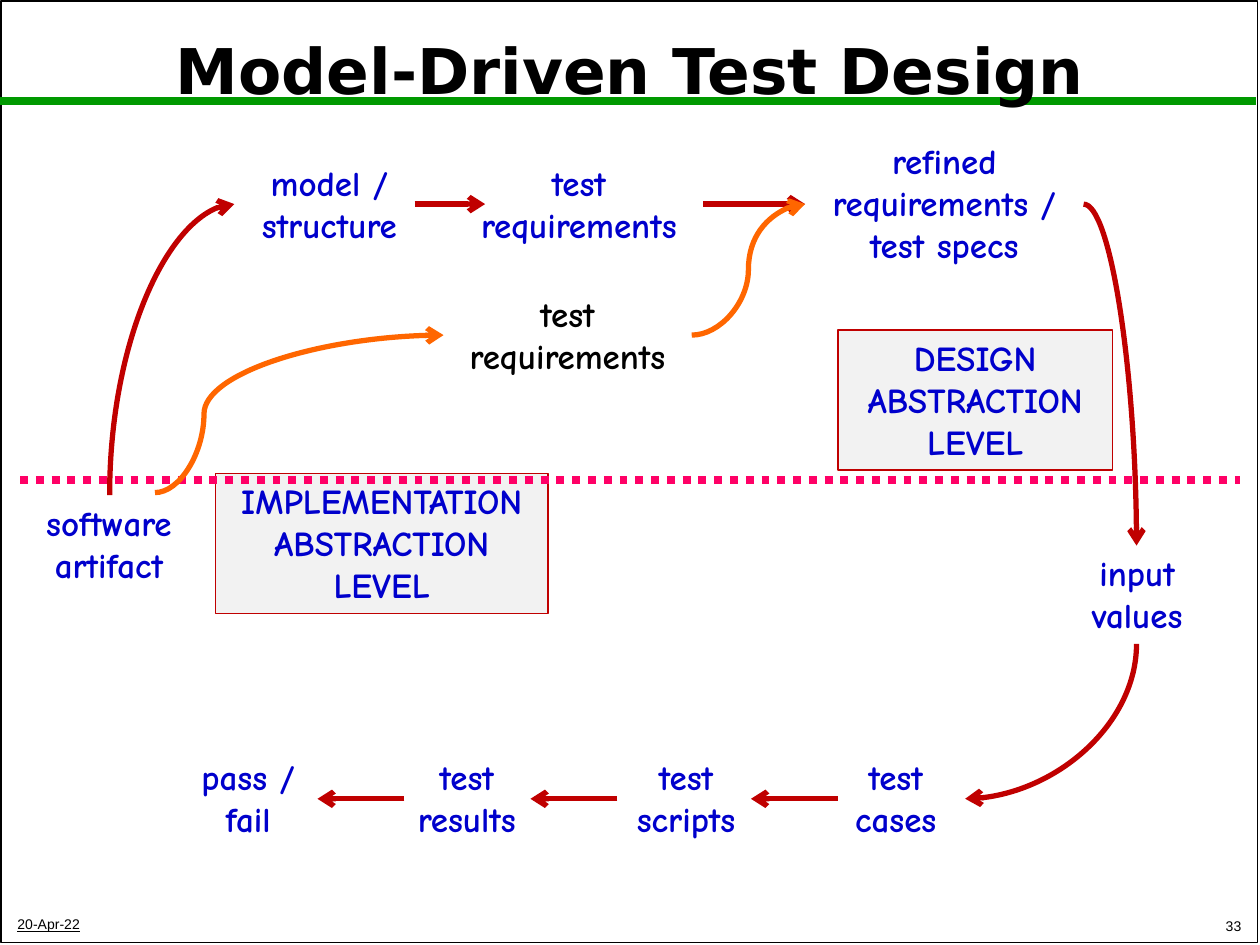
from lxml.etree import SubElement
from pptx import Presentation
from pptx.dml.color import RGBColor
from pptx.enum.dml import MSO_LINE
from pptx.enum.shapes import MSO_CONNECTOR, MSO_SHAPE
from pptx.enum.text import MSO_ANCHOR, PP_ALIGN
from pptx.oxml.ns import qn
from pptx.util import Inches, Pt

BLACK, BLUE, RED, ORANGE = "000000", "0000CC", "C00000", "FF6600"
GREEN, PINK, GREY = "009900", "FF0066", "F2F2F2"
TOP_ROW, MIDDLE_ROW, BOTTOM_ROW = 1.62, 2.66, 6.34


def color(value):
    return RGBColor.from_string(value)


class Diagram:
    def __init__(self, slide):
        self.shapes = slide.shapes

    def fill_text(self, shape, lines, size=20, font="Comic Neue", ink=BLUE, bold=True,
                  align=PP_ALIGN.CENTER, anchor=MSO_ANCHOR.TOP, wrap=True):
        frame = shape.text_frame
        frame.word_wrap = wrap
        frame.vertical_anchor = anchor
        frame.text = lines
        for paragraph in frame.paragraphs:
            paragraph.alignment = align
            paragraph.font.size = Pt(size)
            paragraph.font.name = font
            paragraph.font.bold = bold
            paragraph.font.color.rgb = color(ink)
        return frame.paragraphs[0]

    def text(self, lines, left, top, width, height=0.77, **style):
        box = self.shapes.add_textbox(Inches(left), Inches(top), Inches(width), Inches(height))
        return self.fill_text(box, lines, **style)

    def rectangle(self, left, top, width, height, line, weight, fill=None):
        box = self.shapes.add_shape(MSO_SHAPE.RECTANGLE, Inches(left), Inches(top),
                                    Inches(width), Inches(height))
        box.shadow.inherit = False
        box.line.color.rgb = color(line)
        box.line.width = Pt(weight)
        if fill:
            box.fill.solid()
            box.fill.fore_color.rgb = color(fill)
        else:
            box.fill.background()
        return box

    def level(self, lines, left, top, width):
        box = self.rectangle(left, top, width, 1.11, RED, 0.75, GREY)
        self.fill_text(box, lines, wrap=False)

    def line(self, start, end, ink=RED, weight=3, dash=None, arrow=False,
             kind=MSO_CONNECTOR.STRAIGHT):
        connector = self.shapes.add_connector(
            kind, *(Inches(value) for value in (*start, *end)))
        connector.line.color.rgb = color(ink)
        connector.line.width = Pt(weight)
        if dash:
            connector.line.dash_style = dash
        if arrow:
            SubElement(connector.get_or_add_ln(), qn("a:tailEnd"), type="arrow")
        SubElement(connector.element.spPr, qn("a:effectLst"))
        return connector

    def s_curve(self, start, end, bend=0.5):
        """Curve that leaves and arrives horizontally, turning at the given share of its width."""
        curve = self.line(start, end, ORANGE, arrow=True, kind=MSO_CONNECTOR.CURVE)
        curve_guides = curve.element.spPr.find(qn("a:prstGeom")).get_or_add_avLst()
        SubElement(curve_guides, qn("a:gd"), name="adj1", fmla=f"val {round(bend * 100000)}")

    def quarter_curve(self, start, end, vertical_first=False):
        """Curve with one bend; a vertical start is a horizontal one turned by 90 degrees."""
        if vertical_first:
            middle_x, middle_y = (start[0] + end[0]) / 2, (start[1] + end[1]) / 2
            half_x, half_y = (end[0] - start[0]) / 2, (end[1] - start[1]) / 2
            start = middle_x - half_y, middle_y + half_x
            end = middle_x + half_y, middle_y - half_x
        curve = self.line(start, end, arrow=True, kind=MSO_CONNECTOR.CURVE)
        properties = curve.element.spPr
        properties.find(qn("a:prstGeom")).set("prst", "curvedConnector2")
        if vertical_first:
            properties.find(qn("a:xfrm")).set("rot", "5400000")


def main():
    deck = Presentation()
    deck.slide_width, deck.slide_height = Inches(10), Inches(7.5)
    page = Diagram(deck.slides.add_slide(deck.slide_layouts[6]))

    page.rectangle(0.01, 0.01, 9.97, 7.47, BLACK, 1)
    page.line((0, 0.8), (9.97, 0.8), GREEN, 4.5)
    title = page.text("Model-Driven Test Design", 0.05, 0.11, 9.9, 0.95, size=36,
                      font="DejaVu Sans", ink=BLACK, anchor=MSO_ANCHOR.MIDDLE)
    title.line_spacing = 0.9
    footer = dict(size=8, font="Arial", ink=BLACK, bold=False, anchor=MSO_ANCHOR.BOTTOM)
    date = page.text("20-Apr-22", 0.04, 7.18, 4.2, 0.27, align=PP_ALIGN.LEFT, **footer)
    date.font.underline = True
    page.text("33", 7.87, 7.17, 2.08, 0.29, align=PP_ALIGN.RIGHT, **footer)

    page.text("software artifact", 0.11, 3.93, 1.51)
    page.text("model / structure", 1.86, 1.23, 1.51)
    page.text("test requirements", 3.61, 1.23, 1.97)
    page.text("refined requirements / test specs", 6.39, 1.06, 2.21, 1.11)
    page.text("input values", 8.27, 4.33, 1.51)
    for label, left, width in (("test cases", 6.56, 1.1), ("test scripts", 4.82, 1.25),
                               ("test results", 3.08, 1.25), ("pass / fail", 1.35, 1.24)):
        page.text(label, left, 5.95, width)

    page.quarter_curve((0.87, 3.93), (1.86, TOP_ROW), vertical_first=True)
    page.quarter_curve((9.02, 5.11), (7.66, BOTTOM_ROW), vertical_first=True)
    for start, end, row in ((3.29, 3.85, TOP_ROW), (5.58, 6.39, TOP_ROW),
                            (3.21, 2.52, BOTTOM_ROW), (4.9, 4.21, BOTTOM_ROW),
                            (6.65, 5.96, BOTTOM_ROW)):
        page.line((start, row), (end, row), arrow=True)

    page.level("IMPLEMENTATION\nABSTRACTION\nLEVEL", 1.71, 3.76, 2.64)
    page.level("DESIGN\nABSTRACTION\nLEVEL", 6.65, 2.62, 2.18)
    page.quarter_curve((8.6, TOP_ROW), (9.02, 4.33))
    page.line((0.16, 3.81), (9.84, 3.81), PINK, 4.5, dash=MSO_LINE.ROUND_DOT)

    page.s_curve((1.23, 3.91), (3.52, MIDDLE_ROW), bend=0.17)
    page.text("test requirements", 3.52, 2.27, 1.97, ink=BLACK)
    page.s_curve((5.49, MIDDLE_ROW), (6.39, TOP_ROW))

    deck.save("out.pptx")


if __name__ == "__main__":
    main()
